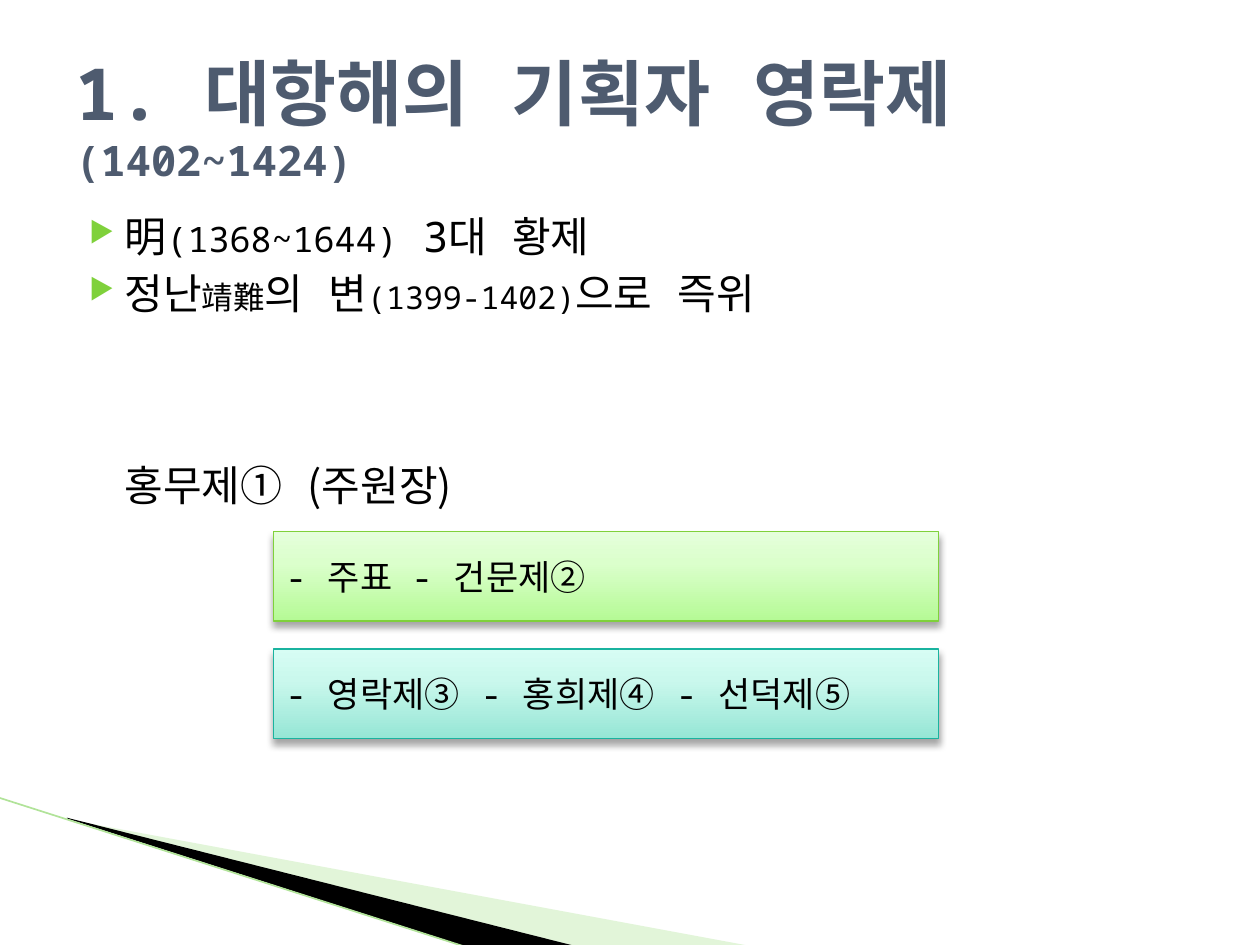
from lxml import etree
from pptx import Presentation
from pptx import util as u
from pptx.dml.color import RGBColor
from pptx.enum import shapes, text
from pptx.oxml import parse_xml
from pptx.oxml.ns import qn

Pt = u.Pt
NS = 'xmlns:a="http://schemas.openxmlformats.org/drawingml/2006/main"'
MONO = "Noto Sans Mono"
CJK = "Noto Sans CJK KR"
COLORS = {
    "text": "000000",
    "title": "4E5B6F",
    "bullet": "7FD13B",
    "pale": "B8E7A1",
    "edge": "B1E399",
    "green": "7FD13B",
    "teal": "1AB39F",
}
GRADIENTS = {
    "green": ("B5FA95", "DBFFCC", "E5FFDB"),
    "teal": ("96E6D5", "CAF8ED", "D7FDF4"),
}


def rgb(name):
    return RGBColor.from_string(COLORS[name])


class SlideWriter:
    def __init__(self, page):
        self.page = page

    def wedge(self, points, color, alpha=100):
        corners = [(Pt(x), Pt(y)) for x, y in points]
        builder = self.page.shapes.build_freeform(*corners[0], scale=1.0)
        builder.add_line_segments(corners[1:], close=True)
        shape = builder.convert_to_shape()
        shape.shadow.inherit = False
        shape.line.fill.background()
        shape.fill.solid()
        shape.fill.fore_color.rgb = rgb(color)
        if alpha < 100:
            tint = shape.fill._xPr.find(".//" + qn("a:srgbClr"))
            etree.SubElement(tint, qn("a:alpha"), val=str(alpha * 1000))

    def line(self, x1, y1, x2, y2, color, width):
        line = self.page.shapes.add_connector(
            shapes.MSO_CONNECTOR.STRAIGHT, Pt(x1), Pt(y1), Pt(x2), Pt(y2))
        line.line.color.rgb = rgb(color)
        line.line.width = Pt(width)
        etree.SubElement(line._element.spPr, qn("a:effectLst"))

    def text_box(self, left, top, width, height, anchor):
        box = self.page.shapes.add_textbox(Pt(left), Pt(top), Pt(width), Pt(height))
        frame = box.text_frame
        frame.word_wrap = True
        frame.vertical_anchor = anchor
        return frame

    def spans(self, para, parts, color="text", bold=False):
        for words, size, font in parts:
            span = para.add_run()
            span.text = words
            span.font.size = Pt(size)
            span.font.name = font
            span.font.bold = bold
            span.font.color.rgb = rgb(color)
            etree.SubElement(span.font._element, qn("a:ea"), typeface=font)

    def indent(self, para, before, bullet):
        para.space_before = Pt(before)
        props = para._p.get_or_add_pPr()
        props.set("marL", str(Pt(28.8)))
        props.set("indent", str(Pt(-20.2) if bullet else 0))
        if bullet:
            color = etree.SubElement(props, qn("a:buClr"))
            etree.SubElement(color, qn("a:srgbClr"), val=COLORS["bullet"])
            etree.SubElement(props, qn("a:buSzPct"), val="68000")
            etree.SubElement(props, qn("a:buChar"), char="▶")

    def banner(self, left, top, width, height, words, color):
        shape = self.page.shapes.add_shape(
            shapes.MSO_SHAPE.RECTANGLE, Pt(left), Pt(top), Pt(width), Pt(height))
        shape.line.color.rgb = rgb(color)
        shape.line.width = Pt(0.75)
        stops = "".join(
            f'<a:gs pos="{pos * 1000}"><a:srgbClr val="{tone}"/></a:gs>'
            for pos, tone in zip((0, 65, 100), GRADIENTS[color]))
        props = shape._element.spPr
        props.find(qn("a:prstGeom")).addnext(parse_xml(
            f'<a:gradFill {NS}><a:gsLst>{stops}</a:gsLst>'
            '<a:lin ang="16200000" scaled="0"/></a:gradFill>'))
        props.append(parse_xml(
            f'<a:effectLst {NS}><a:outerShdw blurRad="{Pt(4)}" dist="{Pt(3)}" '
            'dir="5400000" rotWithShape="0"><a:srgbClr val="000000">'
            '<a:alpha val="35000"/></a:srgbClr></a:outerShdw></a:effectLst>'))
        frame = shape.text_frame
        frame.vertical_anchor = text.MSO_ANCHOR.MIDDLE
        para = frame.paragraphs[0]
        para.alignment = text.PP_ALIGN.LEFT
        self.spans(para, [(words, 20, MONO)])


deck = Presentation()
deck.slide_width, deck.slide_height = Pt(720), Pt(540)
writer = SlideWriter(deck.slides.add_slide(deck.slide_layouts[6]))

writer.wedge([(39.6, 468.5), (428.4, 540.5), (328.3, 540.5), (39.6, 468)], "pale", 40)
writer.wedge([(38.2, 467.3), (329, 540.7), (267.8, 541.4), (38.9, 468)], "text")
writer.line(-0.7, 455.8, 267.1, 541.4, "edge", 0.95)

body = writer.text_box(35.3, 116.6, 648, 356.4, text.MSO_ANCHOR.TOP)
BODY = [
    (4, True, [("明", 24, CJK), ("(1368~1644)", 20, MONO), (" 3대 황제", 24, MONO)]),
    (4, True, [("정난", 24, MONO), ("靖難", 18, MONO), ("의 변", 24, MONO),
               ("(1399-1402)", 18, MONO), ("으로 즉위", 24, MONO)]),
    (81, False, [("홍무제① ", 24, MONO), ("(주원장)", 24, CJK)]),
]
for index, (before, bullet, parts) in enumerate(BODY):
    para = body.add_paragraph() if index else body.paragraphs[0]
    writer.indent(para, before, bullet)
    writer.spans(para, parts)

title = writer.text_box(36, 21.6, 658.8, 90, text.MSO_ANCHOR.MIDDLE)
heading = title.paragraphs[0]
writer.spans(heading, [("1. 대항해의 기획자 영락제", 41, MONO)], "title", True)
heading.add_line_break()
writer.spans(heading, [("(1402~1424)", 24, MONO)], "title", True)

BANNERS = [("- 주표\t- 건문제②", "green"), ("- 영락제③ - 홍희제④ - 선덕제⑤", "teal")]
for row, (words, color) in enumerate(BANNERS):
    writer.banner(156.2, 303.8 + row * 67, 380.2, 51.1, words, color)

deck.save("out.pptx")
